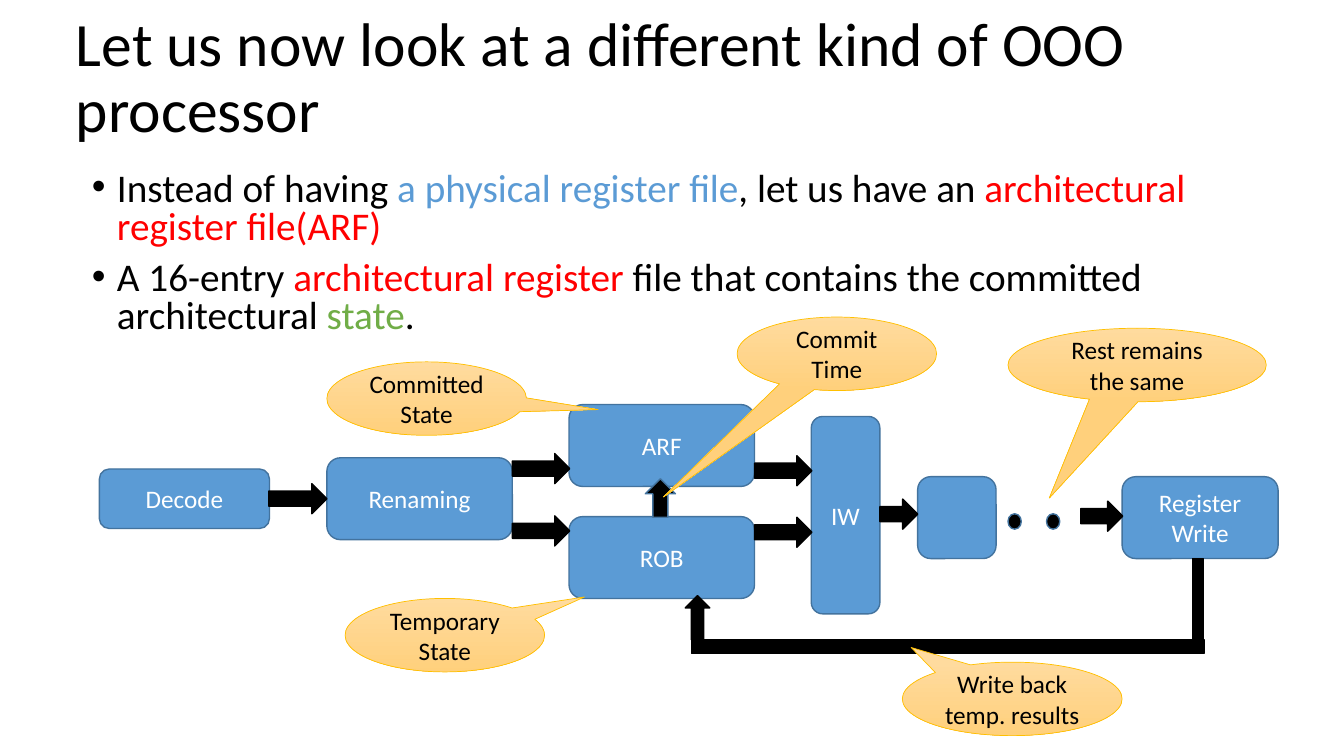
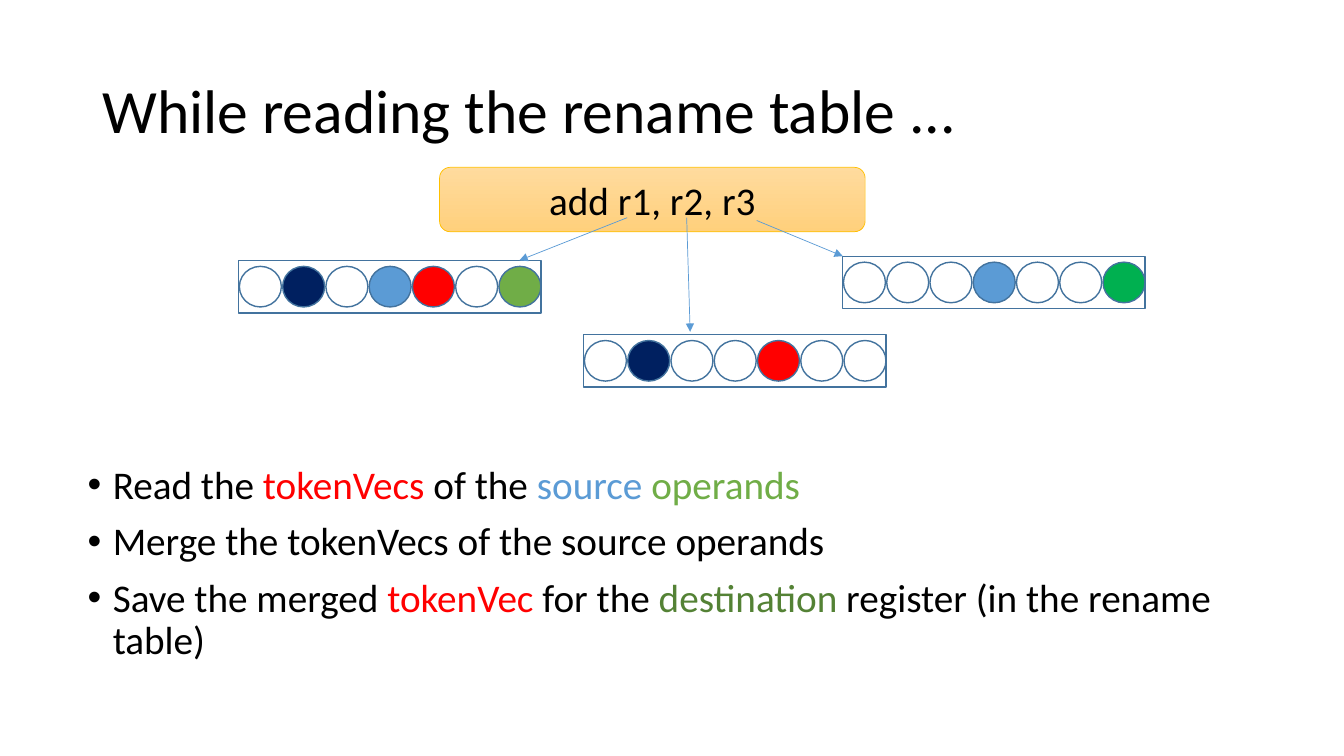
import pptx
import pptx.dml.color
import pptx.enum.shapes
import pptx.enum.text
import pptx.oxml.ns
import pptx.util
from lxml import etree

Pt = pptx.util.Pt
SHAPES = pptx.enum.shapes.MSO_SHAPE
ALIGN = pptx.enum.text.PP_ALIGN
ANCHOR = pptx.enum.text.MSO_ANCHOR

FONT = "Calibri"
BLACK, WHITE, RED = "000000", "FFFFFF", "FF0000"
BLUE, OUTLINE, NAVY = "5B9BD5", "43739E", "002060"
GREEN, DARK_GREEN, BRIGHT_GREEN = "70AD47", "548235", "00B050"
GOLD = "FFC000"
GOLD_GRADIENT = ("FFDB9E", "FFD07C")

PIPELINE = {
    "title": "Let us now look at a different kind of OOO processor",
    "title_box": (47, 4.5, 828, 104.5),
    "body_box": (58.5, 119.5, 828, 132),
    "line_spacing": 0.8,
    "bullets": [
        [("Instead of having ", BLACK), ("a physical register file", BLUE),
         (", let us have an ", BLACK), ("architectural register file(ARF)", RED)],
        [("A 16-entry ", BLACK), ("architectural register", RED),
         (" file that contains the committed architectural ", BLACK),
         ("state", GREEN), (".", BLACK)],
    ],
}
STAGES = [
    (["Decode"], (71, 335, 121.5, 42.5)),
    (["Renaming"], (233.5, 327, 132.5, 58.5)),
    (["ARF"], (406.5, 289, 132.5, 58.5)),
    (["ROB"], (406.5, 369, 132.5, 58.5)),
    (["IW"], (579.5, 297.5, 49, 141)),
    ([], (655.5, 340.5, 56, 58.5)),
    (["Register", "Write"], (801.5, 340.5, 111.5, 58.5)),
]
FLOW_ARROWS = [
    (192, 345.5, 41.5), (366, 324, 41), (366, 368.5, 41), (539, 325.5, 41),
    (539, 369.5, 41), (628.5, 356.5, 27), (772, 358, 30),
]
FLOW_HEIGHT = 21.5
ELLIPSIS_DOTS = [(720, 367, 9.5, 11), (747.5, 367, 9.5, 11)]
COMMIT_ARROW = (461, 342, 21.5, 27.5)
WRITE_BACK = [
    (SHAPES.RECTANGLE, (494, 457, 366, 10)),
    (SHAPES.UP_ARROW, (489.5, 425.5, 17.5, 31.5)),
    (SHAPES.RECTANGLE, (852, 399, 7.5, 58)),
]
CALLOUT_HEIGHT = 52.5
CALLOUTS = [
    ("Committed State", (233.5, 258.5, 142.5), (0.86, 0.15)),
    ("Temporary State", (246.5, 427.5, 142.5), (0.7, -0.52)),
    ("Commit Time", (526.5, 226.5, 142.5), (-0.87, 1.95)),
    ("Rest remains the same", (720, 234.5, 184.5), (-0.34, 1.81)),
    ("Write back temp. results", (644.5, 473, 157), (-0.46, -0.7)),
]

RENAME_TABLE = {
    "title": "While reading the rename table ...",
    "title_box": (66, 29, 828, 104.5),
    "body_box": (55.5, 329, 828, 168.5),
    "line_spacing": 0.9,
    "bullets": [
        [("Read the ", BLACK), ("tokenVecs ", RED), ("of the ", BLACK),
         ("source ", BLUE), ("operands", GREEN)],
        [("Merge the tokenVecs of the source operands", BLACK)],
        [("Save the merged ", BLACK), ("tokenVec ", RED), ("for the ", BLACK),
         ("destination", DARK_GREEN), (" register (in the rename table)", BLACK)],
    ],
}
INSTRUCTION = ("add r1, r2, r3", (314, 119.5, 304, 46))
TOKEN_VECTORS = [
    ((602, 183), [None, None, None, BLUE, None, None, BRIGHT_GREEN]),
    ((417, 239), [None, NAVY, None, None, RED, None, None]),
    ((170.5, 186), [None, NAVY, None, BLUE, RED, None, GREEN]),
]
VECTOR_SIZE = (216, 37.5)
TOKEN_SIZE = (30, 29)
TOKEN_PITCH = 30.9
OPERAND_ARROWS = [
    (540.5, 157.5, 602, 183),
    (490.5, 155.5, 493, 237),
    (448, 155.5, 371, 186),
]


def rgb(value):
    return pptx.dml.color.RGBColor.from_string(value)


def points(values):
    return [Pt(value) for value in values]


def add_bullet(paragraph):
    properties = paragraph._p.get_or_add_pPr()
    properties.set("marL", str(Pt(18)))
    properties.set("indent", str(-Pt(18)))
    for tag, attribute, value in (("a:buFont", "typeface", "Arial"), ("a:buChar", "char", "•")):
        etree.SubElement(properties, pptx.oxml.ns.qn(tag)).set(attribute, value)


def write_text(frame, paragraphs, size=18, color=BLACK, align=ALIGN.CENTER,
               anchor=ANCHOR.MIDDLE, line_spacing=None, space_before=0, bullet=False):
    frame.word_wrap = True
    frame.auto_size = pptx.enum.text.MSO_AUTO_SIZE.NONE
    frame.vertical_anchor = anchor
    for index, runs in enumerate(paragraphs):
        paragraph = frame.add_paragraph() if index else frame.paragraphs[0]
        if bullet:
            add_bullet(paragraph)
        paragraph.alignment = align
        paragraph.line_spacing = line_spacing
        paragraph.space_before = Pt(space_before if index else 0)
        for text, run_color in [(runs, color)] if isinstance(runs, str) else runs:
            run = paragraph.add_run()
            run.text = text
            run.font.name = FONT
            run.font.size = Pt(size)
            run.font.color.rgb = rgb(run_color)


def add_shape(shapes, kind, box, fill=None, line=OUTLINE, line_width=1):
    shape = shapes.add_shape(kind, *points(box))
    shape.shadow.inherit = False
    if fill is None:
        shape.fill.background()
    elif isinstance(fill, tuple):
        shape.fill.gradient()
        shape.fill.gradient_angle = 270
        for stop, color in zip(shape.fill.gradient_stops, fill):
            stop.color.rgb = rgb(color)
    else:
        shape.fill.solid()
        shape.fill.fore_color.rgb = rgb(fill)
    shape.line.color.rgb = rgb(line)
    shape.line.width = Pt(line_width)
    return shape


def add_gold_shape(slide, kind, box, text, size):
    shape = add_shape(slide.shapes, kind, box, GOLD_GRADIENT, GOLD, 0.5)
    write_text(shape.text_frame, [text], size=size)
    return shape


def add_arrow(slide, ends):
    connector = slide.shapes.add_connector(
        pptx.enum.shapes.MSO_CONNECTOR.STRAIGHT, *points(ends))
    connector.line.color.rgb = rgb(BLUE)
    connector.line.width = Pt(0.5)
    line = connector.line._get_or_add_ln()
    etree.SubElement(line, pptx.oxml.ns.qn("a:tailEnd")).set("type", "triangle")
    etree.SubElement(connector._element.spPr, pptx.oxml.ns.qn("a:effectLst"))


def add_token_vector(slide, left, top, tokens):
    group = slide.shapes.add_group_shape()
    width, height = VECTOR_SIZE
    token_width, token_height = TOKEN_SIZE
    add_shape(group.shapes, SHAPES.RECTANGLE, (left, top, width, height))
    token_top = top + (height - token_height) / 2
    for index, fill in enumerate(tokens):
        token_left = left + 0.5 + index * TOKEN_PITCH
        add_shape(group.shapes, SHAPES.OVAL,
                  (token_left, token_top, token_width, token_height), fill)


def add_slide(presentation, content):
    slide = presentation.slides.add_slide(presentation.slide_layouts.get_by_name("Title Only"))
    title = slide.shapes.title
    title.left, title.top, title.width, title.height = points(content["title_box"])
    write_text(title.text_frame, [content["title"]], size=44, align=ALIGN.LEFT, line_spacing=0.9)
    body = slide.shapes.add_textbox(*points(content["body_box"]))
    write_text(body.text_frame, content["bullets"], size=28, align=ALIGN.LEFT,
               anchor=ANCHOR.TOP, line_spacing=content["line_spacing"],
               space_before=10, bullet=True)
    return slide


def build_pipeline(presentation):
    slide = add_slide(presentation, PIPELINE)
    for lines, box in STAGES:
        stage = add_shape(slide.shapes, SHAPES.ROUNDED_RECTANGLE, box, BLUE)
        write_text(stage.text_frame, lines, color=WHITE)
    for left, top, width in FLOW_ARROWS:
        add_shape(slide.shapes, SHAPES.RIGHT_ARROW, (left, top, width, FLOW_HEIGHT), BLACK, BLACK)
    for box in ELLIPSIS_DOTS:
        add_shape(slide.shapes, SHAPES.OVAL, box, BLACK)
    add_shape(slide.shapes, SHAPES.UP_ARROW, COMMIT_ARROW, BLACK)
    for kind, box in WRITE_BACK:
        add_shape(slide.shapes, kind, box, BLACK, BLACK)
    for text, position, tip in CALLOUTS:
        callout = add_gold_shape(slide, SHAPES.OVAL_CALLOUT, (*position, CALLOUT_HEIGHT), text, 18)
        for index, offset in enumerate(tip):
            callout.adjustments[index] = offset


def build_rename_table(presentation):
    slide = add_slide(presentation, RENAME_TABLE)
    text, box = INSTRUCTION
    add_gold_shape(slide, SHAPES.ROUNDED_RECTANGLE, box, text, 28)
    for (left, top), tokens in TOKEN_VECTORS:
        add_token_vector(slide, left, top, tokens)
    for ends in OPERAND_ARROWS:
        add_arrow(slide, ends)


def main():
    presentation = pptx.Presentation()
    presentation.slide_width = Pt(960)
    presentation.slide_height = Pt(540)
    build_pipeline(presentation)
    build_rename_table(presentation)
    presentation.save("out.pptx")


if __name__ == "__main__":
    main()
